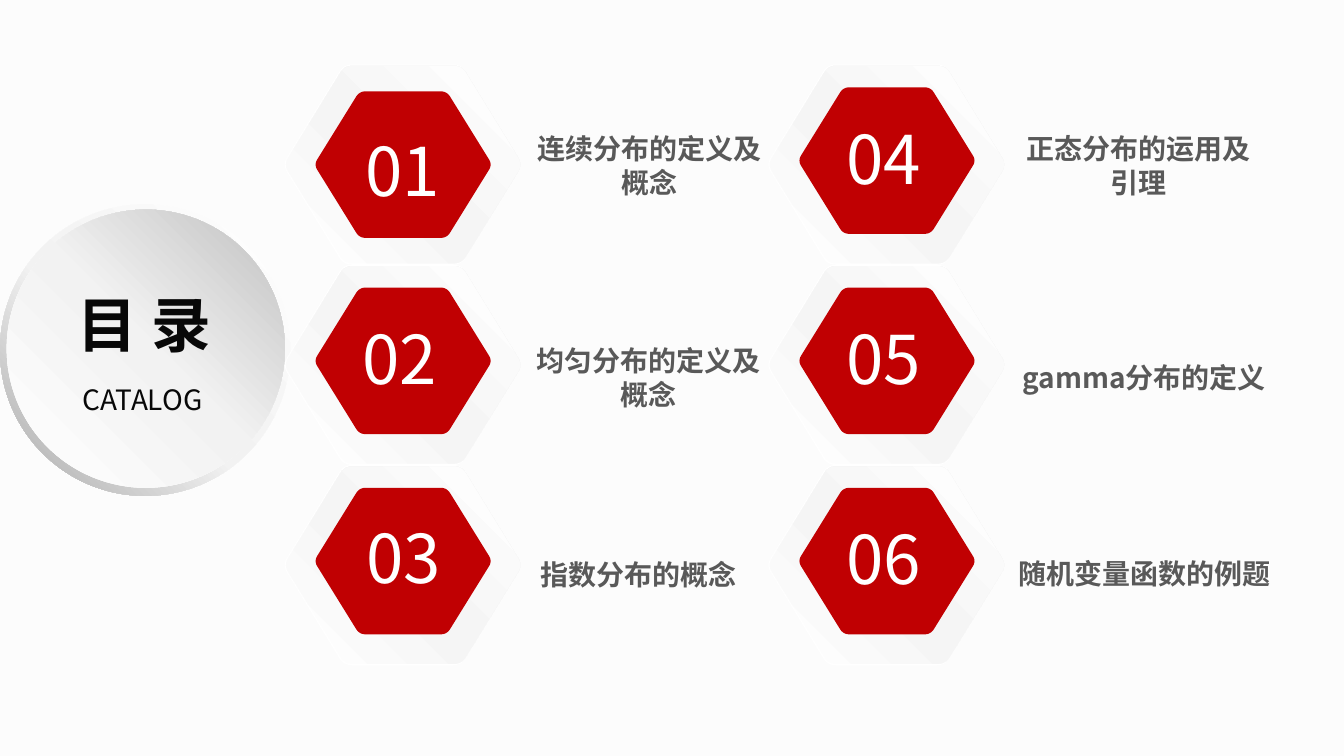
from copy import deepcopy
from dataclasses import dataclass

from lxml import etree
from pptx import Presentation
from pptx import util as u
from pptx.dml.color import RGBColor
from pptx.enum import shapes, text
from pptx.oxml import ns


@dataclass(frozen=True)
class Theme:
    """Colours, font and type sizes of the slide."""
    font: str = "Noto Sans CJK SC"
    background: str = "FCFCFC"
    ink: str = "080808"
    label: str = "595959"
    white: str = "FFFFFF"
    red: str = "C00002"
    ring: tuple = ((0, "FFFFFF"), (0.55, "F2F2F2"), (1, "A6A6A6"))
    disc: tuple = ((0, "FFFFFF"), (0.51, "F2F2F2"), (1, "BFBFBF"))
    plate: tuple = ((0, "FFFFFF"), (0.47, "F5F5F5"), (1, "FFFFFF"))
    title_size: int = 32
    number_size: int = 36
    body_size: int = 15


THEME = Theme()
CORNERS = ((-0.01, 0.5), (0.25, 0), (0.75, 0), (1.01, 0.5), (0.75, 1), (0.25, 1))
CORNER_CUT = 0.07
CORNER_STEPS = 6


@dataclass(frozen=True)
class Entry:
    """A numbered topic with the box of its label."""
    number: str
    topic: str
    label_box: tuple
    number_offset: tuple = (0.48, 0.34)
    core_drop: float = 0.17
    label_format: tuple = ()


CENTERED = (("align", text.PP_ALIGN.CENTER),)
FLUSH = (("insets", (0, 0)),)
COLUMNS = (
    (
        Entry("01", "连续分布的定义及概念", (3.85, 0.93, 1.97, 0.6), (0.5, 0.43), 0.2, CENTERED),
        Entry("02", "均匀分布的定义及概念", (3.85, 2.51, 1.95, 0.6), label_format=CENTERED),
        Entry("03", "指数分布的概念", (3.65, 4.1, 2.2, 0.35), (0.51, 0.33), label_format=CENTERED),
    ),
    (
        Entry("04", "正态分布的运用及引理", (7.46, 0.93, 2.02, 0.6), label_format=CENTERED),
        Entry("05", "gamma分布的定义", (7.61, 2.68, 1.95, 0.27), label_format=FLUSH),
        Entry("06", "随机变量函数的例题", (7.58, 4.14, 2, 0.27), label_format=FLUSH + (("wrap", False),)),
    ),
)


def inches(box):
    """Convert a box of inches to lengths."""
    return [u.Inches(value) for value in box]


def write_text(shape, words, size, color, bold=False, align=text.PP_ALIGN.LEFT,
               anchor=text.MSO_ANCHOR.TOP, insets=(0.1, 0.05), wrap=True):
    """Write one formatted paragraph into a shape."""
    frame = shape.text_frame
    frame.auto_size = text.MSO_AUTO_SIZE.NONE
    frame.word_wrap = wrap
    frame.vertical_anchor = anchor
    frame.margin_left = frame.margin_right = u.Inches(insets[0])
    frame.margin_top = frame.margin_bottom = u.Inches(insets[1])
    paragraph = frame.paragraphs[0]
    paragraph.alignment = align
    run = paragraph.add_run()
    run.text = words
    font = run.font
    font.name, font.size, font.bold = THEME.font, u.Pt(size), bold
    font.color.rgb = RGBColor.from_string(color)
    east_asian = etree.SubElement(run._r.get_or_add_rPr(), ns.qn("a:ea"))
    east_asian.set("typeface", THEME.font)


def paint(shape, fill, angle=315):
    """Fill a shape with a colour or gradient stops, without line or shadow."""
    shape.shadow.inherit = False
    shape.line.fill.background()
    if isinstance(fill, str):
        shape.fill.solid()
        shape.fill.fore_color.rgb = RGBColor.from_string(fill)
        return
    shape.fill.gradient()
    shape.fill.gradient_angle = 360 - angle
    stop_list = shape._element.spPr.find(".//" + ns.qn("a:gsLst"))
    stop_list.append(deepcopy(stop_list[0]))
    for stop, (position, color) in zip(shape.fill.gradient_stops, fill):
        stop.position = position
        stop.color.rgb = RGBColor.from_string(color)


def blend(start, end, share):
    """Return the point at a share of the way between two points."""
    return tuple(a + (b - a) * share for a, b in zip(start, end))


def hexagon_outline():
    """Return the points of a unit hexagon with rounded corners."""
    points = []
    for index, corner in enumerate(CORNERS):
        entry = blend(corner, CORNERS[index - 1], CORNER_CUT)
        leave = blend(corner, CORNERS[(index + 1) % len(CORNERS)], CORNER_CUT)
        for step in range(CORNER_STEPS + 1):
            share = step / CORNER_STEPS
            points.append(blend(blend(entry, corner, share), blend(corner, leave, share), share))
    return points


def add_hexagon(parent, box, fill):
    """Draw a rounded hexagon inside a box."""
    left, top, width, height = inches(box)
    points = [(left + x * width, top + y * height) for x, y in hexagon_outline()]
    builder = parent.build_freeform(*points[0])
    builder.add_line_segments(points[1:], close=True)
    paint(builder.convert_to_shape(), fill)


def add_badge(slide, box, entry):
    """Draw the layered hexagon and number of an entry."""
    left, top, width, height = box
    badge = slide.shapes.add_group_shape().shapes
    add_hexagon(badge, box, THEME.white)
    add_hexagon(badge, (left + 0.01, top + 0.01, width - 0.01, height - 0.02), THEME.plate)
    add_hexagon(badge, (left + 0.23, top + entry.core_drop, 1.3, 1.09), THEME.red)
    across, down = entry.number_offset
    number = badge.add_textbox(*inches((left + across, top + down, 0.88, 0.71)))
    write_text(number, entry.number, THEME.number_size, THEME.white)


def add_catalog(slide, box):
    """Draw the round heading with its title and subtitle."""
    left, top, width, height = box
    ring = slide.shapes.add_shape(shapes.MSO_SHAPE.DONUT, *inches(box))
    ring.adjustments[0] = 0.05
    paint(ring, THEME.ring, 135)
    disc_box = (left + 0.05, top + 0.04, width - 0.09, height - 0.1)
    paint(slide.shapes.add_shape(shapes.MSO_SHAPE.OVAL, *inches(disc_box)), THEME.disc)
    title = slide.shapes.title
    title.left, title.top, title.width, title.height = inches((left + 0.48, top + 0.57, 1.99, 0.64))
    write_text(title, "目 录", THEME.title_size, THEME.ink, bold=True)
    slide.shapes._spTree.append(title._element)
    subtitle = slide.shapes.add_textbox(*inches((left + 0.31, top + 1.24, 1.5, 0.42)))
    write_text(subtitle, "CATALOG", THEME.body_size, THEME.ink, align=text.PP_ALIGN.CENTER,
               anchor=text.MSO_ANCHOR.MIDDLE, insets=(0.07, 0.04))


def add_entries(slide, box):
    """Place the badges in a grid and write their labels."""
    left, top, column_step, row_step = box
    for column, entries in enumerate(COLUMNS):
        for row, entry in enumerate(entries):
            badge_box = (left + column * column_step, top + row * row_step, 1.75, 1.49)
            add_badge(slide, badge_box, entry)
    for entries in COLUMNS:
        for entry in entries:
            label = slide.shapes.add_textbox(*inches(entry.label_box))
            write_text(label, entry.topic, THEME.body_size, THEME.label, bold=True,
                       **dict(entry.label_format))


def main():
    """Build and save the contents slide."""
    presentation = Presentation()
    presentation.slide_width = u.Inches(10)
    presentation.slide_height = presentation.slide_width * 9 // 16
    slide = presentation.slides.add_slide(presentation.slide_layouts.get_by_name("Title Only"))
    slide.background.fill.solid()
    slide.background.fill.fore_color.rgb = RGBColor.from_string(THEME.background)
    add_catalog(slide, (0, 1.52, 2.16, 2.17))
    add_entries(slide, (2.12, 0.48, 3.6, 1.49))
    presentation.save("out.pptx")


if __name__ == "__main__":
    main()
